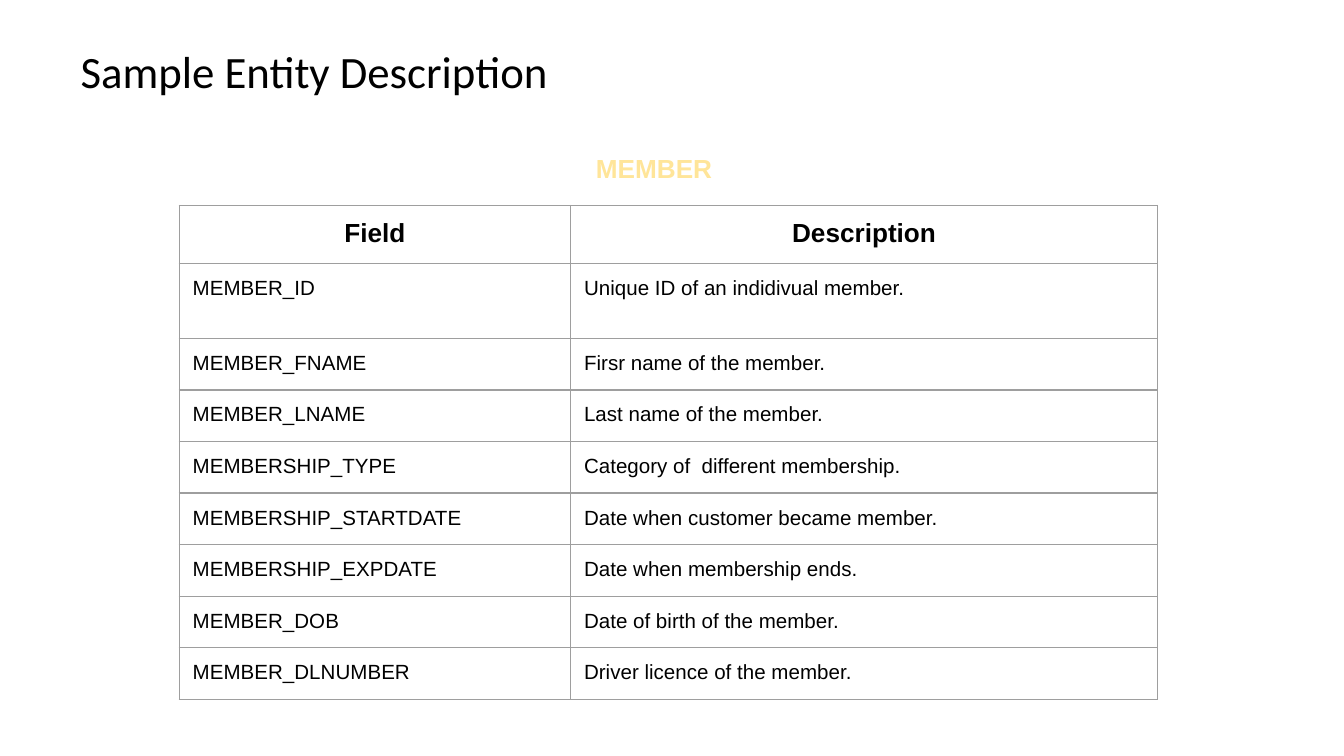
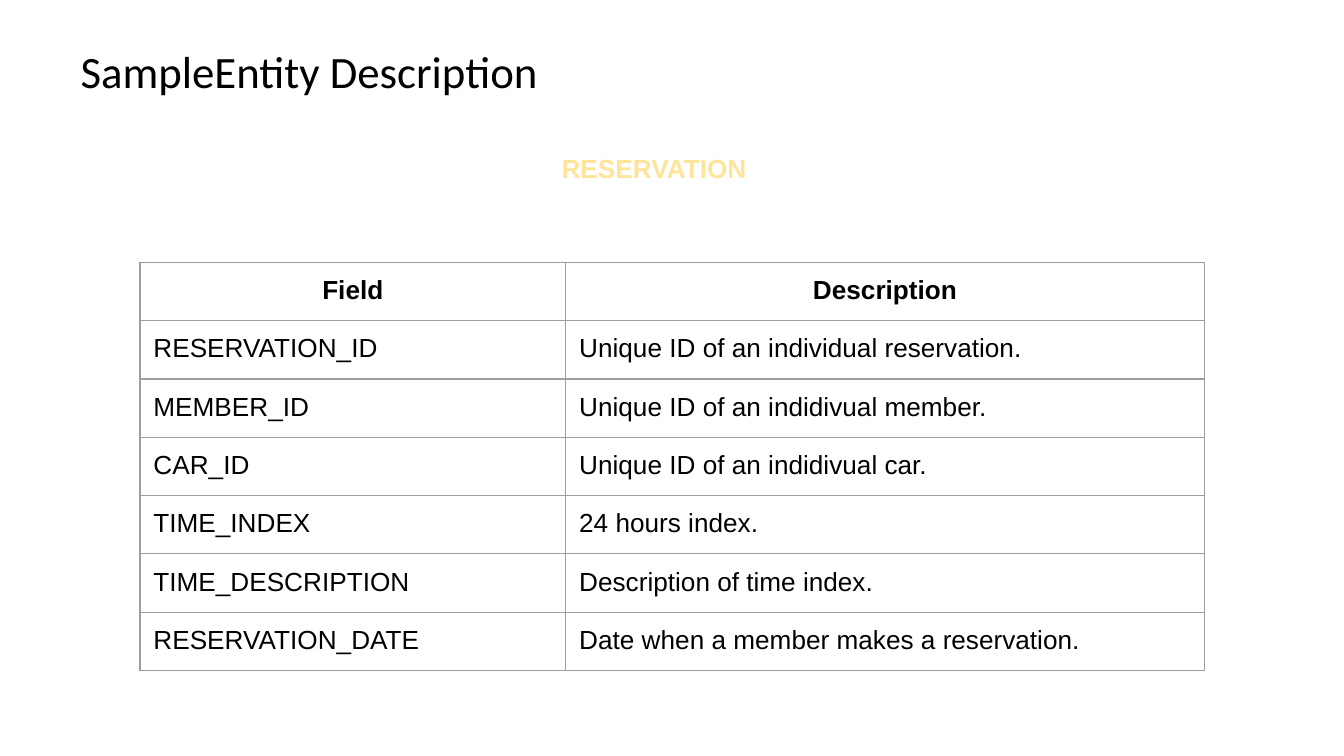
"""Build two slides that describe the MEMBER and RESERVATION entities."""
from dataclasses import dataclass

from lxml import etree
from pptx import Presentation
from pptx.dml.color import RGBColor
from pptx.enum.text import MSO_ANCHOR, MSO_AUTO_SIZE, PP_ALIGN
from pptx.oxml.ns import qn
from pptx.util import Pt

LEFT, CENTER = PP_ALIGN.LEFT, PP_ALIGN.CENTER
BOTTOM, MIDDLE, TOP = MSO_ANCHOR.BOTTOM, MSO_ANCHOR.MIDDLE, MSO_ANCHOR.TOP
NO_AUTOFIT = MSO_AUTO_SIZE.NONE

COLORS = {"background": "FFFFFF", "text": "000000", "entity": "FFE599", "border": "9E9E9E"}
TITLE_FONT, BODY_FONT = "Calibri", "Arial"
TITLE_SIZE, HEADING_SIZE = 24, 14
INSET = Pt(7.2)
BORDER_WIDTH = Pt(0.75)
COLUMN_SHARES = (0.4, 0.6)
HEADER = ("Field", "Description")
HEADER_HEIGHT = 30.2
TITLE_ONLY_LAYOUT = 5


@dataclass(frozen=True)
class Entity:
    title: str
    title_width: float
    name: str
    left: float
    top: float
    width: float
    field_size: float
    row_heights: tuple[float, ...]
    fields: tuple[tuple[str, str], ...]


ENTITIES = (
    Entity(
        "Sample Entity Description", 288.7, "MEMBER", 96, 110, 524.2, 11, (40,) + (27,) * 7,
        (
            ("MEMBER_ID", "Unique ID of an indidivual member."),
            ("MEMBER_FNAME", "Firsr name of the member."),
            ("MEMBER_LNAME", "Last name of the member."),
            ("MEMBERSHIP_TYPE", "Category of  different membership."),
            ("MEMBERSHIP_STARTDATE", "Date when customer became member."),
            ("MEMBERSHIP_EXPDATE", "Date when membership ends."),
            ("MEMBER_DOB", "Date of birth of the member."),
            ("MEMBER_DLNUMBER", "Driver licence of the member."),
        ),
    ),
    Entity(
        "SampleEntity Description", 267.1, "RESERVATION", 75, 140.5, 570.2, 14, (HEADER_HEIGHT,) * 6,
        (
            ("RESERVATION_ID", "Unique ID of an individual reservation."),
            ("MEMBER_ID", "Unique ID of an indidivual member."),
            ("CAR_ID", "Unique ID of an indidivual car."),
            ("TIME_INDEX", "24 hours index."),
            ("TIME_DESCRIPTION", "Description of time index."),
            ("RESERVATION_DATE", "Date when a member makes a reservation."),
        ),
    ),
)


def set_insets(holder) -> None:
    """Give a text frame or a cell the common inset on all sides."""
    holder.margin_left = holder.margin_right = INSET
    holder.margin_top = holder.margin_bottom = INSET


def write(frame, text: str, font_name: str, size: float, color: str, bold: bool, align) -> None:
    """Set a single-paragraph text and its format."""
    frame.text = text
    paragraph = frame.paragraphs[0]
    paragraph.alignment = align
    font = paragraph.runs[0].font
    font.name, font.size, font.bold = font_name, Pt(size), bold
    font.color.rgb = RGBColor.from_string(COLORS[color])


def add_title(slide, entity: Entity) -> None:
    """Place and format the slide title."""
    title = slide.shapes.title
    title.left, title.top = Pt(36), Pt(16.6)
    title.width, title.height = Pt(entity.title_width), Pt(43.2)
    frame = title.text_frame
    frame.auto_size, frame.word_wrap, frame.vertical_anchor = NO_AUTOFIT, True, BOTTOM
    set_insets(frame)
    write(frame, entity.title, TITLE_FONT, TITLE_SIZE, "text", False, LEFT)
    frame.paragraphs[0].line_spacing = 0.9


def add_entity_name(slide, name: str) -> None:
    """Add the entity name above the table."""
    frame = slide.shapes.add_textbox(Pt(260.4), Pt(74.5), Pt(180), Pt(31)).text_frame
    frame.word_wrap, frame.vertical_anchor = True, MIDDLE
    set_insets(frame)
    write(frame, name, BODY_FONT, HEADING_SIZE, "entity", True, CENTER)


def add_borders(cell) -> None:
    """Draw a thin line on the four sides of a cell."""
    properties = cell._tc.get_or_add_tcPr()
    for side in ("a:lnL", "a:lnR", "a:lnT", "a:lnB"):
        line = etree.SubElement(properties, qn(side), w=str(BORDER_WIDTH))
        fill = etree.SubElement(line, qn("a:solidFill"))
        etree.SubElement(fill, qn("a:srgbClr"), val=COLORS["border"])


def add_field_table(slide, entity: Entity) -> None:
    """Add the table of fields and their descriptions."""
    heights = (HEADER_HEIGHT, *entity.row_heights)
    rows = (HEADER, *entity.fields)
    table = slide.shapes.add_table(
        len(rows), len(HEADER), Pt(entity.left), Pt(entity.top), Pt(entity.width), Pt(sum(heights))
    ).table
    table.first_row = table.horz_banding = False
    for column, share in zip(table.columns, COLUMN_SHARES):
        column.width = Pt(entity.width * share)
    for row_index, (texts, height) in enumerate(zip(rows, heights)):
        table.rows[row_index].height = Pt(height)
        is_header = row_index == 0
        size = HEADING_SIZE if is_header else entity.field_size
        for cell, text in zip(table.rows[row_index].cells, texts):
            set_insets(cell)
            cell.vertical_anchor = TOP
            add_borders(cell)
            cell.fill.background()
            write(cell.text_frame, text, BODY_FONT, size, "text", is_header, CENTER if is_header else LEFT)


def main() -> None:
    """Build and save the presentation."""
    deck = Presentation()
    deck.slide_width, deck.slide_height = Pt(720), Pt(405)
    background = deck.slide_master.background.fill
    background.solid()
    background.fore_color.rgb = RGBColor.from_string(COLORS["background"])
    for entity in ENTITIES:
        slide = deck.slides.add_slide(deck.slide_layouts[TITLE_ONLY_LAYOUT])
        add_title(slide, entity)
        add_entity_name(slide, entity.name)
        add_field_table(slide, entity)
    deck.save("out.pptx")


if __name__ == "__main__":
    main()
